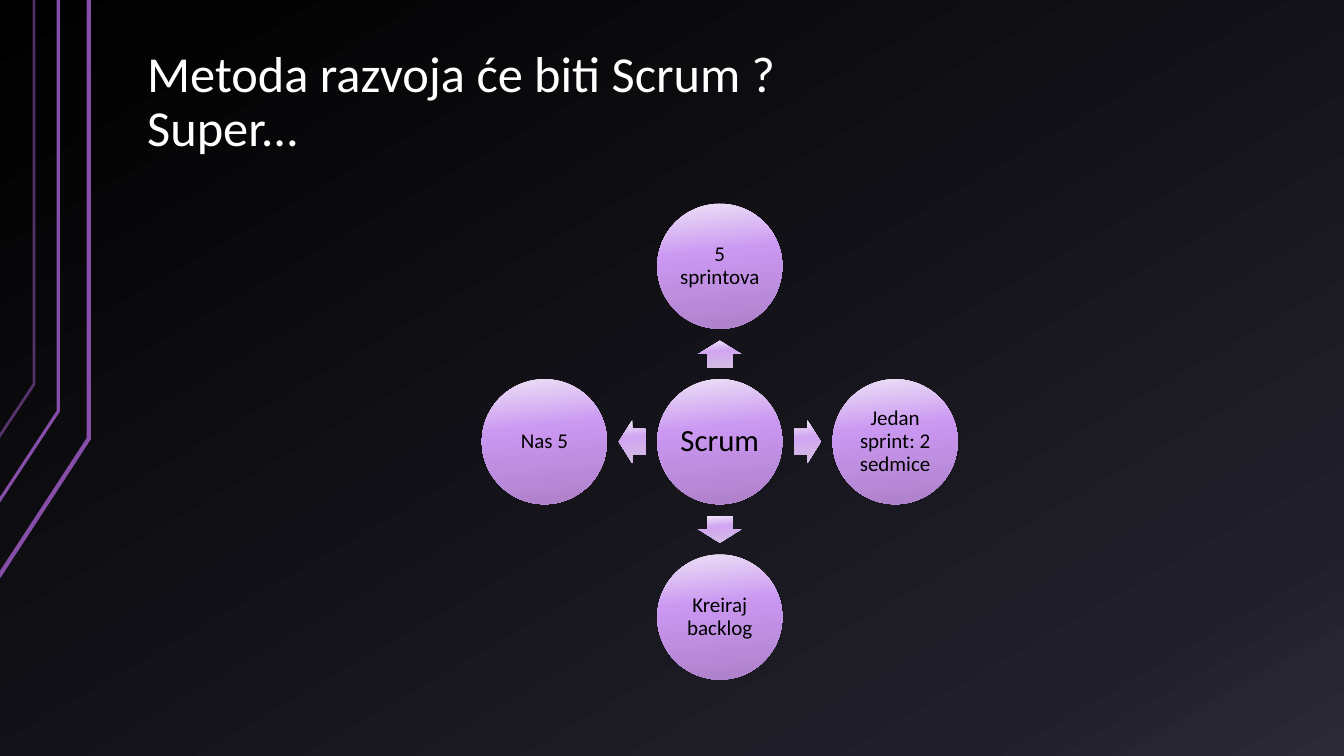
import copy

import lxml.etree
import pptx
import pptx.dml.color
import pptx.enum.shapes
import pptx.enum.text
import pptx.oxml.ns
import pptx.util

Cm = pptx.util.Cm
Pt = pptx.util.Pt
qn = pptx.oxml.ns.qn
Preset = pptx.enum.shapes.MSO_SHAPE
Align = pptx.enum.text.PP_ALIGN
Anchor = pptx.enum.text.MSO_ANCHOR

BACKGROUND = [(0, "000000"), (0.85, "211F29"), (1, "2C2A37")]
CIRCLE_FILL = [(0, "EDE2F6"), (0.4, "CA97F1"), (1, "AE81C9")]
ARROW_FILL = [(0, "F3EBF9"), (0.4, "D1A5F2"), (1, "D3C0E1")]


def color(value):
    """Turn a hex string into a colour."""
    return pptx.dml.color.RGBColor.from_string(value)


def apply_gradient(fill, element, stops, angle):
    """Give a fill three gradient stops at a clockwise angle, fixed to the slide."""
    fill.gradient()
    fill.gradient_angle = 360 - angle
    gradient = element.find(".//" + qn("a:gradFill"))
    gradient.set("rotWithShape", "0")
    stop_list = gradient.find(qn("a:gsLst"))
    stop_list.append(copy.deepcopy(stop_list[0]))
    for stop, (position, value) in zip(fill.gradient_stops, stops):
        stop.color.rgb = color(value)
        stop.position = position


class SlideBuilder:
    """Holds the style and the current slide."""

    font = "Calibri"
    accent = "874EA9"

    def __init__(self, slide):
        """Keep the slide and paint its background."""
        self.slide = slide
        apply_gradient(slide.background.fill, slide.element, BACKGROUND, 60)

    def set_text(self, shape, text, size, value, inset, anchor, align):
        """Put formatted text into a shape."""
        frame = shape.text_frame
        frame.word_wrap = True
        frame.vertical_anchor = anchor
        frame.margin_left = frame.margin_right = inset[0]
        frame.margin_top = frame.margin_bottom = inset[1]
        frame.text = text
        for paragraph in frame.paragraphs:
            paragraph.alignment = align
            paragraph.line_spacing = 0.9
            for run in paragraph.runs:
                run.font.name = self.font
                run.font.size = Pt(size)
                run.font.color.rgb = color(value)

    def title(self, text):
        """Add the slide title."""
        box = self.slide.shapes.add_textbox(Cm(3.38), Cm(0.76), Cm(28.78), Cm(3.4))
        self.set_text(box, text, 36, "FFFFFF", (Cm(0.33), Cm(0.18)),
                      Anchor.BOTTOM, Align.LEFT)

    def shape(self, preset, center, size, stops):
        """Add a borderless gradient shape around a centre given in cm."""
        (x, y), (width, height) = center, size
        shape = self.slide.shapes.add_shape(
            preset, Cm(x - width / 2), Cm(y - height / 2), Cm(width), Cm(height))
        shape.shadow.inherit = False
        shape.line.fill.background()
        apply_gradient(shape.fill, shape.element, stops, 84)
        return shape

    def circle(self, text, center, size=15):
        """Add a labelled circle."""
        circle = self.shape(Preset.OVAL, center, (3.15, 3.15), CIRCLE_FILL)
        self.set_text(circle, text, size, "000000", (Cm(0.05), Cm(0.05)),
                      Anchor.MIDDLE, Align.CENTER)

    def arrow(self, center, rotation):
        """Add a block arrow turned to the given angle."""
        arrow = self.shape(Preset.RIGHT_ARROW, center, (0.67, 1.07), ARROW_FILL)
        arrow.adjustments[0] = 0.6
        arrow.adjustments[1] = 0.5
        arrow.rotation = rotation

    def bent_line(self, points, width, opacity):
        """Add an open line through points given in cm."""
        start, *others = [(Cm(x), Cm(y)) for x, y in points]
        builder = self.slide.shapes.build_freeform(*start)
        builder.add_line_segments(others, close=False)
        line = builder.convert_to_shape()
        line.shadow.inherit = False
        line.fill.background()
        line.line.width = Pt(width)
        line.line.color.rgb = color(self.accent)
        if opacity < 100:
            paint = line.element.find(".//" + qn("a:ln") + "//" + qn("a:srgbClr"))
            alpha = lxml.etree.SubElement(paint, qn("a:alpha"))
            alpha.set("val", str(opacity * 1000))


def main():
    """Build the slide and save it."""
    presentation = pptx.Presentation()
    presentation.slide_width = Cm(33.87)
    presentation.slide_height = Cm(19.05)
    slide = presentation.slides.add_slide(presentation.slide_layouts[6])
    builder = SlideBuilder(slide)

    # Left edge x, lower y, bend x, bend y, line width, opacity
    for left, bottom, bend_x, bend_y, width, opacity in [
            (-0.03, 14.53, 2.24, 11.05, 3, 100),
            (-0.05, 12.67, 1.47, 10.36, 2.25, 100),
            (-0.03, 11.02, 0.86, 9.68, 2, 60)]:
        points = [(left, bottom), (bend_x, bend_y), (bend_x, 0)]
        builder.bent_line(points, width, opacity)

    builder.title("Metoda razvoja će biti Scrum ?\vSuper...")

    hub_x, hub_y, spacing = 18.14, 11.13, 4.42
    builder.circle("Scrum", (hub_x, hub_y), 22)
    for text, step_x, step_y, rotation in [
            ("5 sprintova", 0, -1, 270),
            ("Jedan sprint: 2 sedmice", 1, 0, 0),
            ("Kreiraj backlog", 0, 1, 90),
            ("Nas 5", -1, 0, 180)]:
        move_x, move_y = step_x * spacing, step_y * spacing
        builder.arrow((hub_x + move_x / 2, hub_y + move_y / 2), rotation)
        builder.circle(text, (hub_x + move_x, hub_y + move_y))

    presentation.save("out.pptx")


main()
